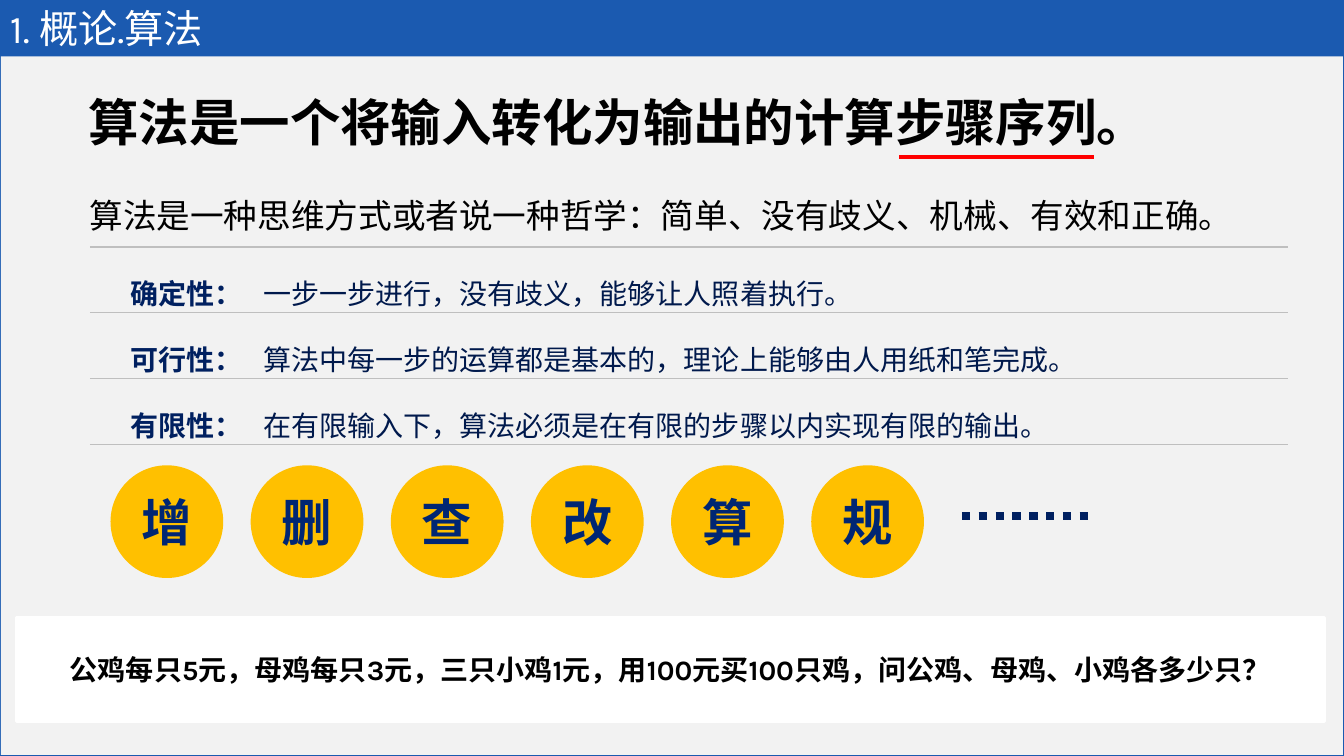
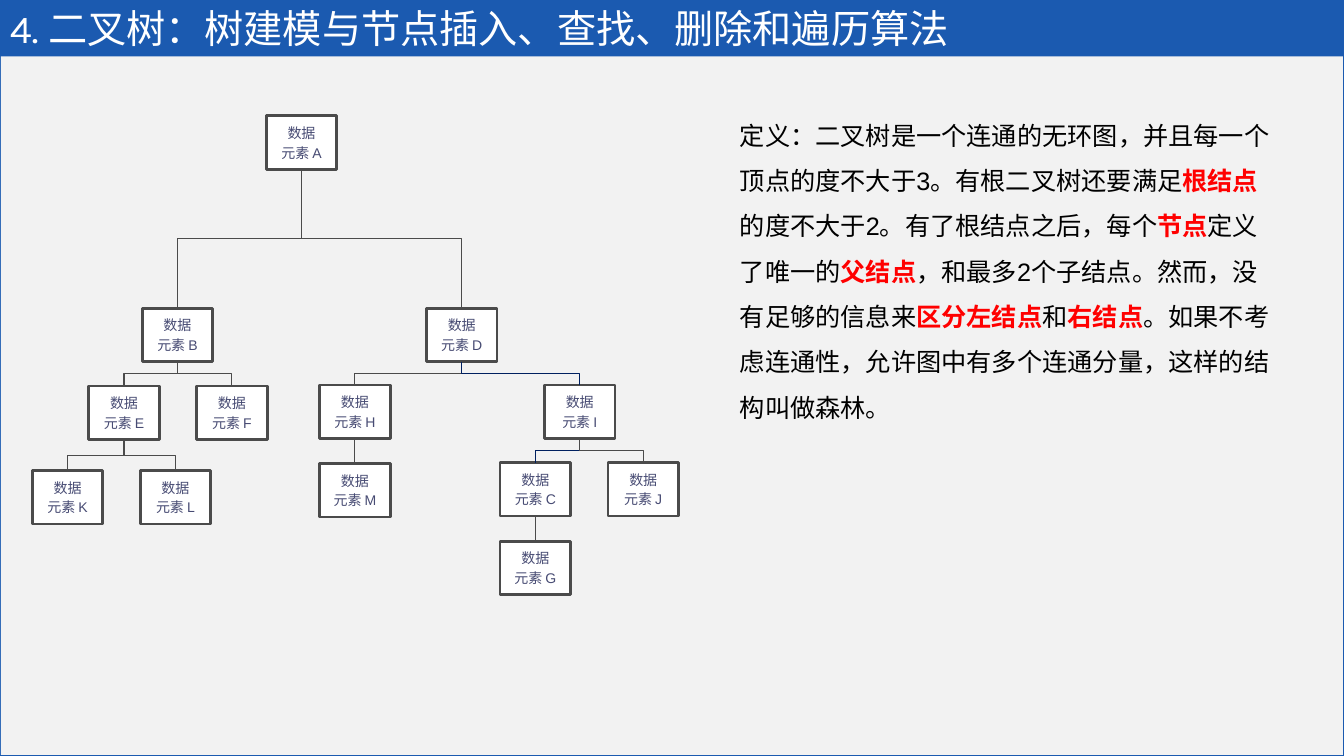
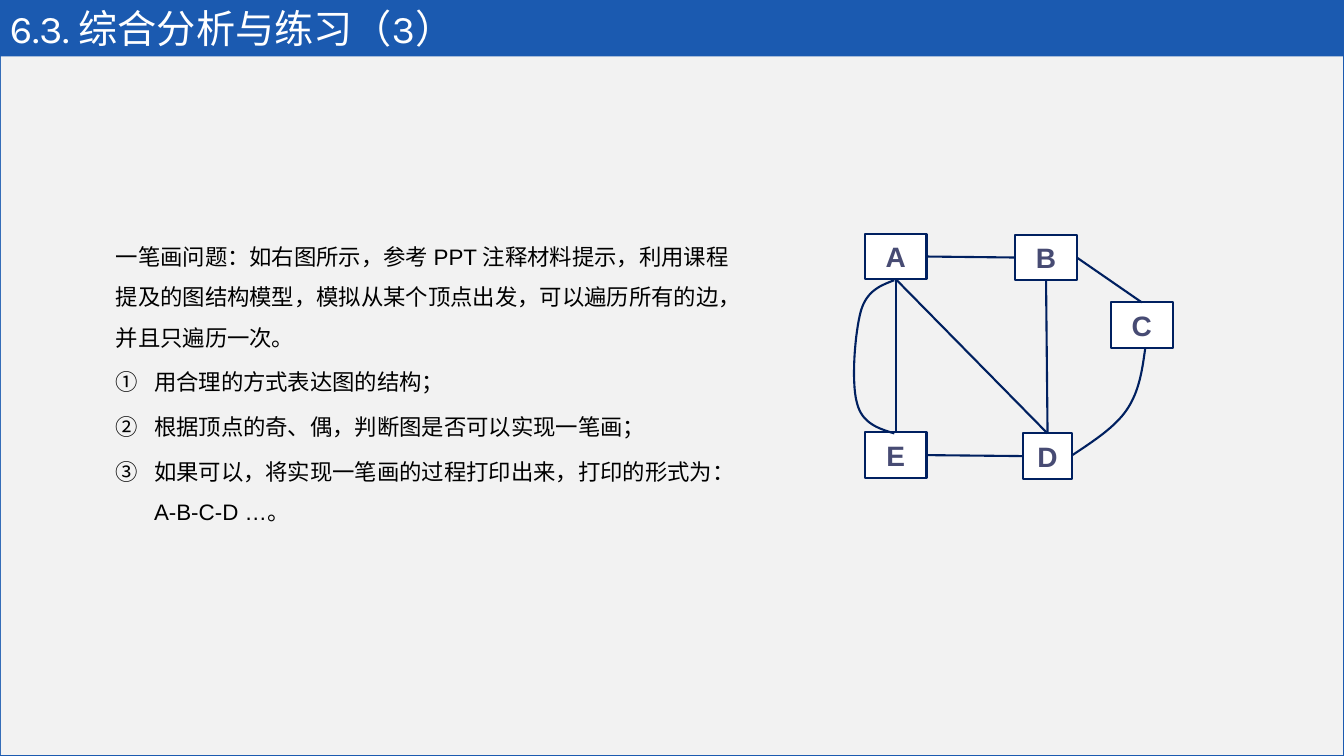
from dataclasses import dataclass

from lxml import etree
from pptx import Presentation, util as u
from pptx.dml.color import RGBColor
from pptx.enum import dml, shapes, text
from pptx.oxml.ns import qn

I, Pt = u.Inches, u.Pt
MID, TOP = text.MSO_ANCHOR.MIDDLE, text.MSO_ANCHOR.TOP
LEFT, MIDST, RIGHT = text.PP_ALIGN.LEFT, text.PP_ALIGN.CENTER, text.PP_ALIGN.RIGHT


@dataclass(frozen=True)
class Theme:
    blue: str = "1B5AB0"
    panel: str = "F2F2F2"
    white: str = "FFFFFF"
    black: str = "000000"
    red: str = "FF0000"
    gold: str = "FFC000"
    navy: str = "002060"
    ink: str = "00194C"
    disc: str = "002673"
    slate: str = "474B73"
    gray: str = "4B4B4B"
    rule: str = "BFBFBF"
    head: str = "Karla"
    body: str = "Arial"
    title: int = 28
    hero: int = 36
    lead: int = 24
    item: int = 20
    para: int = 18
    task: int = 16
    node: int = 10


T = Theme()


def rgb(code):
    return RGBColor.from_string(code)


def style(par, size, color, bold=False, face=T.body, align=LEFT, gap=None):
    par.alignment = align
    if gap:
        par.line_spacing = gap
    font = par.font
    font.name, font.size, font.bold = face, Pt(size), bold
    font.color.rgb = rgb(color)


def write(frame, lines, size, color, anchor=TOP, **look):
    """Fill a text frame with one paragraph per line."""
    frame.word_wrap = True
    frame.vertical_anchor = anchor
    for i, line in enumerate(lines):
        par = frame.add_paragraph() if i else frame.paragraphs[0]
        if i:
            par.space_before = Pt(size * 0.2)
        par.text = line
        style(par, size, color, **look)


def label(slide, box, lines, size, color, **look):
    shape = slide.shapes.add_textbox(*map(I, box))
    write(shape.text_frame, lines, size, color, **look)
    return shape


def block(slide, kind, box, fill, edge=None, width=2):
    shape = slide.shapes.add_shape(kind, *map(I, box))
    shape.shadow.inherit = False
    shape.fill.solid()
    shape.fill.fore_color.rgb = rgb(fill)
    if edge:
        shape.line.color.rgb = rgb(edge)
        shape.line.width = Pt(width)
    else:
        shape.line.fill.background()
    return shape


RECT, OVAL = shapes.MSO_SHAPE.RECTANGLE, shapes.MSO_SHAPE.OVAL


def link(slide, start, end, color, width, kind=shapes.MSO_CONNECTOR.STRAIGHT):
    line = slide.shapes.add_connector(kind, *map(I, (*start, *end)))
    line.line.color.rgb = rgb(color)
    line.line.width = Pt(width)
    etree.SubElement(line._element.spPr, qn("a:effectLst"))
    return line


def elbow(slide, start, end, color, width):
    """Bent line that leaves downwards: a turned connector about its centre."""
    (x1, y1), (x2, y2) = start, end
    wide, high = y2 - y1, abs(x2 - x1)
    left, top = (x1 + x2 - wide) / 2, (y1 + y2 - high) / 2
    line = link(slide, (left, top), (left + wide, top + high), color, width,
                shapes.MSO_CONNECTOR.ELBOW)
    xfrm = line._element.spPr.find(qn("a:xfrm"))
    xfrm.set("rot", str((90 if x2 < x1 else 270) * 60000))
    if x2 > x1:
        xfrm.set("flipH", "1")


def curve(slide, start, *parts):
    """Open outline through cubic arcs, each given by three points."""
    steps, pts = 16, [start]
    for a, b, c in parts:
        o = pts[-1]
        for k in range(1, steps + 1):
            t = k / steps
            s = 1 - t
            pts.append(tuple(s**3 * o[n] + 3 * s * s * t * a[n] + 3 * s * t * t * b[n]
                             + t**3 * c[n] for n in (0, 1)))
    pen = slide.shapes.build_freeform(*map(I, start), scale=1.0)
    pen.add_line_segments([(I(x), I(y)) for x, y in pts[1:]], close=False)
    shape = pen.convert_to_shape()
    shape.shadow.inherit = False
    shape.fill.background()
    shape.line.color.rgb = rgb(T.navy)
    shape.line.width = Pt(1.5)


def page(deck, title):
    """Shared frame: pale panel under a title band."""
    slide = deck.slides.add_slide(deck.slide_layouts[6])
    block(slide, RECT, (0.01, 0.56, 13.31, 6.93), T.panel)
    label(slide, (0, 0.01, 13.33, 0.53), [title], T.title, T.white,
          face=T.head, anchor=MID)
    return slide


# Slide 1: algorithms
def traits(slide, box, rows):
    left, top, wide, high = box
    frame = slide.shapes.add_table(len(rows), 2, *map(I, box))
    grid = frame.table
    grid.first_row = grid.horz_banding = False
    grid._tbl.tblPr.find(qn("a:tableStyleId")).text = "{2D5ABB26-0587-4C30-8999-92F81FD0307C}"
    grid.columns[0].width, grid.columns[1].width = I(1.62), I(wide - 1.62)
    looks = ((T.navy, True, RIGHT), (T.ink, False, LEFT))
    for r, row in enumerate(rows):
        grid.rows[r].height = I(high / len(rows))
        for c, (word, (color, bold, align)) in enumerate(zip(row, looks)):
            cell = grid.cell(r, c)
            par = cell.text_frame.paragraphs[0]
            par.text = word
            style(par, T.item, color, bold, align=align, gap=1.5)
            cell.fill.background()
            props = cell._tc.get_or_add_tcPr()
            for n, side in enumerate(("a:lnT", "a:lnB")):
                edge = etree.Element(qn(side), w=str(Pt(1)))
                fill = etree.SubElement(edge, qn("a:solidFill"))
                etree.SubElement(fill, qn("a:srgbClr"), val=T.rule)
                props.insert(n, edge)


def discs(slide, left, top, words):
    size, step = 1.09, 1.39
    for i, word in enumerate(words):
        disc = block(slide, OVAL, (left + i * step, top, size, size), T.gold, T.gold)
        write(disc.text_frame, [word], T.hero, T.disc, bold=True, anchor=MID, align=MIDST)
    x, y = left + len(words) * step + 0.09, top + 0.49
    dots = link(slide, (x, y), (x + 1.31, y), T.navy, 6)
    dots.line.dash_style = dml.MSO_LINE.ROUND_DOT


def intro(deck):
    slide = page(deck, "1. 概论.算法")
    traits(slide, (0.89, 2.45, 11.88, 1.96), [
        ("确定性：", "一步一步进行，没有歧义，能够让人照着执行。"),
        ("可行性：", "算法中每一步的运算都是基本的，理论上能够由人用纸和笔完成。"),
        ("有限性：", "在有限输入下，算法必须是在有限的步骤以内实现有限的输出。")])
    label(slide, (0.79, 1.88, 12, 0.5),
          ["算法是一种思维方式或者说一种哲学：简单、没有歧义、机械、有效和正确。"],
          T.lead, T.black)
    label(slide, (0.78, 0.85, 12, 0.71),
          ["算法是一个将输入转化为输出的计算步骤序列。"], T.hero, T.black, bold=True)
    discs(slide, 1.11, 4.63, "增删查改算规")
    link(slide, (8.92, 1.56), (10.85, 1.56), T.red, 3)
    quiz = block(slide, RECT, (0.16, 6.13, 12.98, 1.03), T.white, T.white)
    write(quiz.text_frame,
          ["公鸡每只5元，母鸡每只3元，三只小鸡1元，用100元买100只鸡，问公鸡、母鸡、小鸡各多少只？"],
          T.item, T.black, bold=True, face=T.head, anchor=MID, align=MIDST)


# Slide 2: binary tree
def tree(slide, left, top):
    wide, high = 0.7, 0.53
    # name: (x, y, parent)
    nodes = {"A": (2.32, 0, None), "B": (1.09, 1.91, "A"), "D": (3.91, 1.91, "A"),
             "E": (0.56, 2.68, "B"), "F": (1.63, 2.68, "B"),
             "H": (2.85, 2.67, "D"), "I": (5.08, 2.67, "D"),
             "K": (0, 3.52, "E"), "L": (1.07, 3.52, "E"), "M": (2.85, 3.45, "H"),
             "C": (4.64, 3.44, "I"), "J": (5.71, 3.44, "I"), "G": (4.64, 4.22, "C")}
    for name, (x, y, _) in nodes.items():
        box = block(slide, RECT, (left + x, top + y, wide, high), T.white, T.gray)
        write(box.text_frame, ["数据", f"元素 {name}"], T.node, T.slate,
              anchor=MID, align=MIDST)
    for name, (x, y, up) in nodes.items():
        if not up:
            continue
        px, py, _ = nodes[up]
        start = left + px + wide / 2, top + py + high
        end = left + x + wide / 2, top + y
        color = T.navy if name in "IC" else T.gray
        (link if x == px else elbow)(slide, start, end, color, 0.75)


def define(slide, box):
    # Odd pieces are the key terms
    parts = ["定义：二叉树是一个连通的无环图，并且每一个顶点的度不大于3。有根二叉树还要满足",
             "根结点", "的度不大于2。有了根结点之后，每个", "节点", "定义了唯一的", "父结点",
             "，和最多2个子结点。然而，没有足够的信息来", "区分左结点", "和", "右结点",
             "。如果不考虑连通性，允许图中有多个连通分量，这样的结构叫做森林。"]
    frame = label(slide, box, [""], T.para, T.black, gap=1.5).text_frame
    for i, part in enumerate(parts):
        run = frame.paragraphs[0].add_run()
        run.text = part
        if i % 2:
            run.font.bold = True
            run.font.color.rgb = rgb(T.red)


def binary(deck):
    slide = page(deck, "4. 二叉树：树建模与节点插入、查找、删除和遍历算法")
    define(slide, (7.24, 0.99, 5.52, 3.28))
    tree(slide, 0.32, 1.15)


# Slide 3: one-stroke drawing
def graph(slide, left, top):
    high = 0.45
    nodes = {"A": (0.11, 0, 0.61), "E": (0.11, 1.97, 0.61), "D": (1.68, 1.98, 0.48),
             "C": (2.55, 0.68, 0.61), "B": (1.6, 0.01, 0.61)}
    for name, (x, y, wide) in nodes.items():
        box = block(slide, RECT, (left + x, top + y, wide, high), T.white, T.navy, 1.5)
        write(box.text_frame, [name], T.item, T.slate, bold=True, anchor=MID, align=MIDST)

    sides = {"t": (0.5, 0), "b": (0.5, 1), "l": (0, 0.5), "r": (1, 0.5)}

    def port(key):
        x, y, wide = nodes[key[0]]
        fx, fy = sides[key[1]]
        return left + x + fx * wide, top + y + fy * high

    for edge in ("Ab Et", "Ar Bl", "Er Dl", "Br Ct", "Ab Dt", "Bb Dt"):
        link(slide, *map(port, edge.split()), T.navy, 1.5)

    def at(x, y):
        return left + x, top + y

    curve(slide, at(0.4, 0.46),
          (at(0.27, 0.51), at(0.13, 0.56), at(0.07, 0.76)),
          (at(0.01, 0.97), at(-0.03, 1.47), at(0.03, 1.68)),
          (at(0.08, 1.88), at(0.24, 1.93), at(0.4, 1.98)))
    curve(slide, at(2.89, 1.13),
          (at(2.86, 1.35), at(2.83, 1.56), at(2.71, 1.74)),
          (at(2.59, 1.92), at(2.37, 2.06), at(2.16, 2.2)))


def tasks(slide, box):
    lines = ["一笔画问题：如右图所示，参考 PPT 注释材料提示，利用课程提及的图结构模型，"
             "模拟从某个顶点出发，可以遍历所有的边，并且只遍历一次。",
             "用合理的方式表达图的结构；",
             "根据顶点的奇、偶，判断图是否可以实现一笔画；",
             "如果可以，将实现一笔画的过程打印出来，打印的形式为：A-B-C-D …。"]
    frame = slide.shapes.add_textbox(*map(I, box)).text_frame
    frame.word_wrap = True
    for i, line in enumerate(lines):
        par = frame.add_paragraph() if i else frame.paragraphs[0]
        par.text = line
        if i:
            par.space_before = Pt(T.task * 0.2)
            props = par._p.get_or_add_pPr()
            props.set("marL", str(I(0.38)))
            props.set("indent", str(-I(0.38)))
            etree.SubElement(props, qn("a:buFont"), typeface="+mj-ea")
            etree.SubElement(props, qn("a:buAutoNum"), type="circleNumDbPlain")
        style(par, T.task, T.black, gap=1.5)


def stroke(deck):
    slide = page(deck, "6.3. 综合分析与练习（3）")
    graph(slide, 8.47, 2.32)
    tasks(slide, (1.05, 2.23, 6.46, 3.04))


def main():
    deck = Presentation()
    deck.slide_width, deck.slide_height = I(13.33), I(7.5)
    back = deck.slide_master.background.fill
    back.solid()
    back.fore_color.rgb = rgb(T.blue)
    for make in (intro, binary, stroke):
        make(deck)
    deck.save("out.pptx")


if __name__ == "__main__":
    main()
